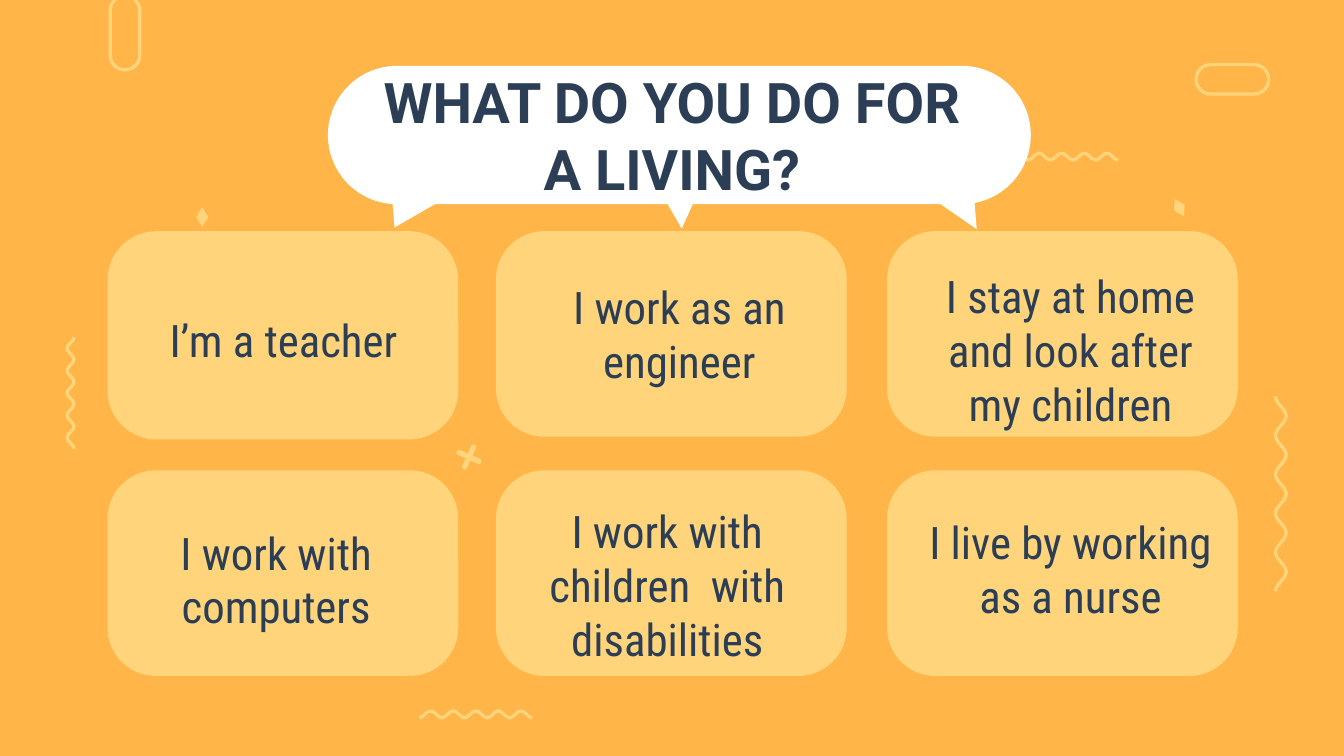
from dataclasses import dataclass
from math import cos, pi

from pptx import Presentation
from pptx import util as u
from pptx.dml.color import RGBColor
from pptx.enum import shapes, text

Inches, Pt = u.Inches, u.Pt
SHAPE = shapes.MSO_SHAPE


@dataclass(frozen=True)
class Theme:
    """Colours, fonts and sizes of the slide."""
    back: RGBColor = RGBColor.from_string("FFB548")
    pale: RGBColor = RGBColor.from_string("FFD47B")
    white: RGBColor = RGBColor.from_string("FFFFFF")
    ink: RGBColor = RGBColor.from_string("2B3E55")
    title_font: str = "Roboto"
    body_font: str = "Roboto Condensed"
    title_size: int = 30
    body_size: int = 24
    stroke: float = 1.75


THEME = Theme()

ANSWERS = [
    ("I’m a teacher", (0.16, 0.51, 2.3, 0.67)),
    ("I work as an engineer", (0.17, 0.26, 2.39, 1.17)),
    ("I stay at home and look after my children", (0.17, 0.18, 2.39, 1.17)),
    ("I work with computers", (0.06, 0.31, 2.39, 1.17)),
    ("I work with children  with disabilities", (0.08, 0.15, 2.39, 1.17)),
    ("I live by working as a nurse", (0.17, 0.23, 2.39, 1.17)),
]


def add_solid(s, kind, box, color, rotation=0, adj=None):
    """Add a filled preset shape without an outline."""
    sp = s.shapes.add_shape(kind, *map(Inches, box))
    sp.shadow.inherit = False
    sp.fill.solid()
    sp.fill.fore_color.rgb = color
    sp.line.fill.background()
    sp.rotation = rotation
    if adj is not None:
        sp.adjustments[0] = adj
    return sp


def outline(sp):
    """Leave a shape unfilled with a pale stroke."""
    sp.shadow.inherit = False
    sp.fill.background()
    sp.line.color.rgb = THEME.pale
    sp.line.width = Pt(THEME.stroke)


def style_text(tf, font, size, bold=False):
    """Centre wrapped text and format its runs."""
    tf.word_wrap = True
    tf.auto_size = text.MSO_AUTO_SIZE.NONE
    tf.margin_left = tf.margin_right = Inches(0.1)
    tf.margin_top = tf.margin_bottom = Inches(0.1)
    for p in tf.paragraphs:
        p.alignment = text.PP_ALIGN.CENTER
        p.line_spacing = 1.0
        p.space_before = Pt(0)
        for r in p.runs:
            r.font.name, r.font.size, r.font.bold = font, Pt(size), bold
            r.font.color.rgb = THEME.ink


def add_squiggle(s, x, y, w, h, from_far=True, waves=5, steps=12):
    """Draw a wave along the longer side of its box."""
    sign = 1 if from_far else -1
    points = []
    for i in range(waves * steps + 1):
        along = i / (waves * steps)
        across = (1 + sign * cos(2 * pi * i / steps)) / 2
        dx, dy = (along, across) if w > h else (across, along)
        points.append((Inches(x + w * dx), Inches(y + h * dy)))
    fb = s.shapes.build_freeform(*points[0])
    fb.add_line_segments(points[1:], close=False)
    outline(fb.convert_to_shape())


def add_cross(s, x, y, size):
    """Draw a tilted cross from two rounded bars."""
    bar = 0.04
    for angle in (24, 114):
        box = (x, y + (size - bar) / 2, size, bar)
        add_solid(s, SHAPE.ROUNDED_RECTANGLE, box, THEME.pale, angle, 0.5)


def add_decor(s):
    """Scatter the pale ornaments over the background."""
    for box in ((8.9, 0.48, 0.54, 0.22), (0.82, -0.03, 0.22, 0.55)):
        ring = s.shapes.add_shape(SHAPE.ROUNDED_RECTANGLE, *map(Inches, box))
        ring.adjustments[0] = 0.5
        outline(ring)
    for x, y, angle in ((1.46, 1.54, 0), (8.73, 1.47, 332.5)):
        add_solid(s, SHAPE.DIAMOND, (x, y, 0.09, 0.15), THEME.pale, angle)
    add_squiggle(s, 3.12, 5.29, 0.84, 0.05)
    add_squiggle(s, 7.48, 1.14, 0.84, 0.05)
    add_squiggle(s, 0.5, 2.51, 0.05, 0.83)
    add_squiggle(s, 9.49, 2.95, 0.08, 1.45, from_far=False)
    add_cross(s, 3.39, 3.3, 0.2)


def add_card(s, x, y, w, h, answer, text_box):
    """Place a rounded card with its answer."""
    add_solid(s, SHAPE.ROUNDED_RECTANGLE, (x, y, w, h), THEME.pale, adj=0.235)
    dx, dy, tw, th = text_box
    tf = s.shapes.add_textbox(*map(Inches, (x + dx, y + dy, tw, th))).text_frame
    tf.text = answer
    style_text(tf, THEME.body_font, THEME.body_size)


def add_cards(s, x, y, columns=(0, 2.89, 5.8), pitch_y=1.78):
    """Lay the answers out in a grid."""
    for i, (answer, text_box) in enumerate(ANSWERS):
        row, col = divmod(i, len(columns))
        h = 1.55 if i == 0 else 1.53
        add_card(s, x + columns[col], y + row * pitch_y, 2.61, h, answer, text_box)


def add_title_bubble(s, x, y, w, h):
    """Draw the three-tailed speech bubble and put the title on it."""
    add_solid(s, SHAPE.ROUNDED_RECTANGLE, (x, y, w, h), THEME.white, adj=0.5)
    tails = (
        (4.56, 0.87, 0.35, 0.37, 150),
        (0.38, 0.77, 0.35, 0.37, 330),
        (2.44, 0.8, 0.43, 0.3, 60),
    )
    for dx, dy, tw, th, angle in tails:
        add_solid(s, SHAPE.ISOSCELES_TRIANGLE, (x + dx, y + dy, tw, th), THEME.white, angle)
    title = s.shapes.title
    title.left, title.top = Inches(x + 0.23), Inches(y + 0.22)
    title.width, title.height = Inches(4.66), Inches(0.58)
    tf = title.text_frame
    tf.text = "WHAT DO YOU DO FOR A LIVING?"
    tf.vertical_anchor = text.MSO_ANCHOR.MIDDLE
    style_text(tf, THEME.title_font, THEME.title_size, bold=True)
    title.element.getparent().append(title.element)


def main():
    """Build and save the slide."""
    prs = Presentation()
    prs.slide_width = Inches(10)
    prs.slide_height = prs.slide_width * 9 // 16
    s = prs.slides.add_slide(prs.slide_layouts[5])
    s.background.fill.solid()
    s.background.fill.fore_color.rgb = THEME.back
    add_decor(s)
    add_cards(s, 0.8, 1.72)
    add_title_bubble(s, 2.44, 0.49, 5.23, 1.03)
    prs.save("out.pptx")


if __name__ == "__main__":
    main()
